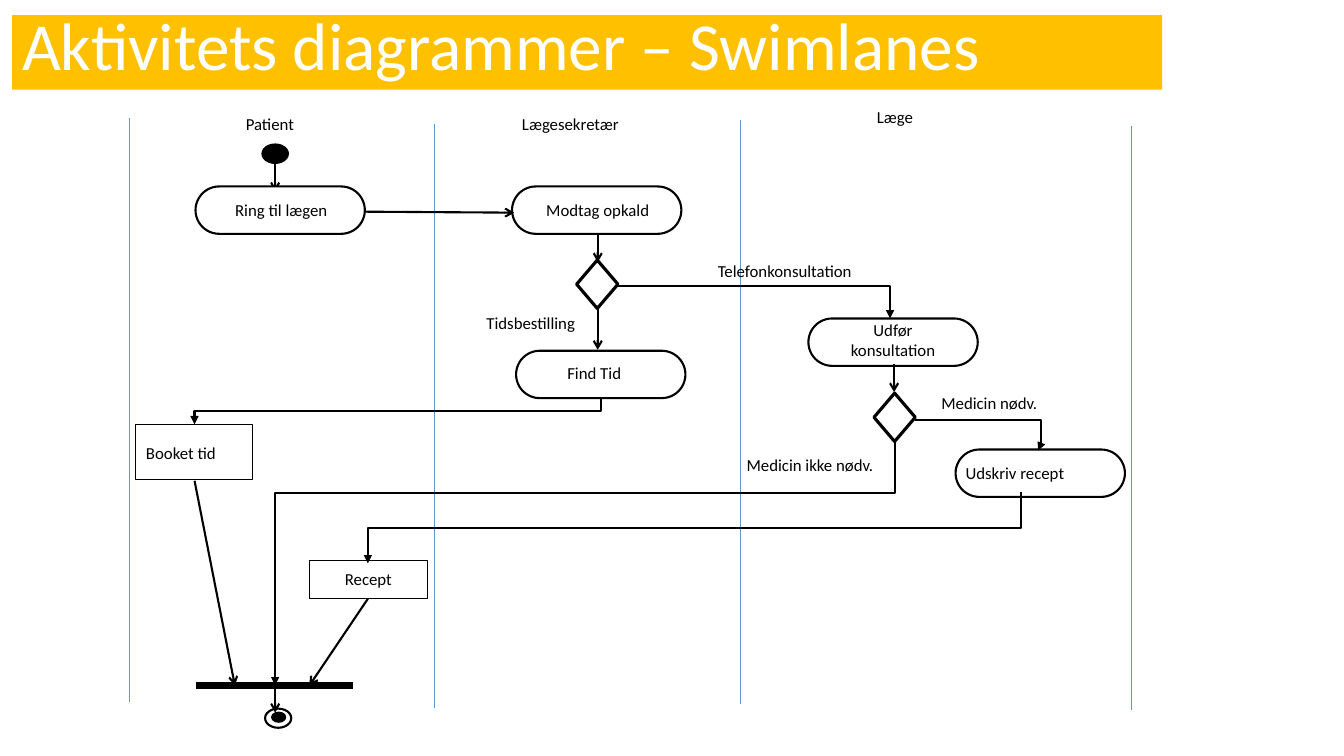
import dataclasses

import pptx
import pptx.dml.color
import pptx.enum.shapes
import pptx.enum.text
import pptx.oxml
import pptx.oxml.ns
import pptx.util

Pt = pptx.util.Pt
RGB = pptx.dml.color.RGBColor.from_string
Shape = pptx.enum.shapes.MSO_SHAPE
Connector = pptx.enum.shapes.MSO_CONNECTOR
Align = pptx.enum.text.PP_ALIGN
Anchor = pptx.enum.text.MSO_ANCHOR

COLUMNS, ROWS = 133.33, 75
NODE = (16.8, 4.7)
DIAMOND = (4.1, 4.8)
OBJECT_WIDTH = 11.7
LABEL_HEIGHT = 3.4
LANE_HEIGHT = 57.9


@dataclasses.dataclass(frozen=True)
class Theme:
    ink: str = "000000"
    paper: str = "FFFFFF"
    banner: str = "FFC000"
    lane: str = "5B9BD5"
    font: str = "Calibri"
    title_size: int = 48
    label_size: int = 12
    hairline: float = 0.5
    thin: float = 0.75
    dot: float = 1
    flow: float = 1.5
    decision: float = 2.25
    bar: float = 4.5


def apply(target, formats):
    for name, value in formats.items():
        setattr(target, name, value)


def drawing_xml(tag, attributes=""):
    namespace = pptx.oxml.ns.nsdecls("a")
    return pptx.oxml.parse_xml(f"<a:{tag} {namespace} {attributes}/>")


class Diagram:
    """Draws on one slide, in cells of a COLUMNS by ROWS grid."""

    def __init__(self, presentation, theme):
        self.theme = theme
        self.slide = presentation.slides.add_slide(presentation.slide_layouts[6])
        self.column = presentation.slide_width / COLUMNS
        self.row = presentation.slide_height / ROWS

    def emu(self, *cells):
        """Turns alternating column and row counts into lengths."""
        return [round(cell * (self.row if i % 2 else self.column))
                for i, cell in enumerate(cells)]

    def set_text(self, frame, text, size, color, align, spacing=1.0):
        frame.text = text
        for paragraph in frame.paragraphs:
            apply(paragraph, {"alignment": align, "line_spacing": spacing})
            apply(paragraph.font, {"name": self.theme.font, "size": Pt(size)})
            paragraph.font.color.rgb = RGB(color)

    def shape(self, kind, box, fill=None, weight=None):
        outline = self.slide.shapes.add_shape(kind, *self.emu(*box))
        outline.shadow.inherit = False
        if fill:
            outline.fill.solid()
            outline.fill.fore_color.rgb = RGB(fill)
        else:
            outline.fill.background()
        if weight:
            outline.line.color.rgb = RGB(self.theme.ink)
            outline.line.width = Pt(weight)
        else:
            outline.line.fill.background()
        return outline

    def title(self, text, box):
        banner = self.shape(Shape.RECTANGLE, box, self.theme.banner)
        apply(banner.text_frame, {"word_wrap": True, "vertical_anchor": Anchor.BOTTOM})
        self.set_text(banner.text_frame, text, self.theme.title_size,
                      self.theme.paper, Align.LEFT, 0.9)

    def label(self, text, left, top, width, align=Align.CENTER):
        caption = self.slide.shapes.add_textbox(
            *self.emu(left, top, width, LABEL_HEIGHT))
        apply(caption.text_frame, {"word_wrap": True, "vertical_anchor": Anchor.TOP})
        self.set_text(caption.text_frame, text, self.theme.label_size,
                      self.theme.ink, align)

    def activity(self, left, top):
        pill = self.shape(Shape.ROUNDED_RECTANGLE, (left, top, *NODE),
                          self.theme.paper, self.theme.flow)
        pill.adjustments[0] = 0.5

    def decision(self, left, top):
        self.shape(Shape.DIAMOND, (left, top, *DIAMOND), weight=self.theme.decision)

    def line(self, start, end, weight, color=None, head=None, kind=Connector.STRAIGHT):
        link = self.slide.shapes.add_connector(kind, *self.emu(*start, *end))
        link.line.color.rgb = RGB(color or self.theme.ink)
        link.line.width = Pt(weight)
        properties = link.element.spPr
        if head:
            properties.get_or_add_ln().append(
                drawing_xml("tailEnd", f'type="{head}"'))
        properties.append(drawing_xml("effectLst"))
        return link

    def arrow(self, start, end):
        self.line(start, end, self.theme.flow, head="arrow")

    def elbow(self, start, end, bend, turned=False):
        """Bends at a share of the way; turned leaves downwards, to the left."""
        if turned:
            (x1, y1), (x2, y2) = start, end
            middle_x, middle_y = (x1 + x2) / 2, (y1 + y2) / 2
            half_width, half_height = (y2 - y1) / 2, (x1 - x2) / 2
            start = middle_x - half_width, middle_y - half_height
            end = middle_x + half_width, middle_y + half_height
        link = self.line(start, end, self.theme.flow, head="triangle",
                         kind=Connector.ELBOW)
        properties = link.element.spPr
        if turned:
            properties.xfrm.set("rot", str(90 * 60000))
        guides = properties.find(".//" + pptx.oxml.ns.qn("a:avLst"))
        guides.append(drawing_xml(
            "gd", f'name="adj1" fmla="val {round(bend * 100000)}"'))


def main():
    presentation = pptx.Presentation()
    apply(presentation, {"slide_width": pptx.util.Inches(13.33),
                         "slide_height": pptx.util.Inches(7.5)})
    theme = Theme()
    diagram = Diagram(presentation, theme)
    diagram.title("Aktivitets diagrammer – Swimlanes", (1.2, 1.5, 114.1, 7.4))

    diagram.shape(Shape.OVAL, (26, 14.3, 2.6, 1.9), theme.ink, theme.dot)
    diagram.arrow((27.3, 16.2), (27.3, 19))
    for corner in ((19.4, 18.5), (50.8, 18.5), (51.2, 34.8),
                   (80.2, 31.6), (94.8, 44.6)):
        diagram.activity(*corner)
    for corner in ((57.2, 25.8), (86.7, 39)):
        diagram.decision(*corner)
    for left, top, height in ((13.4, 42.1, 5.5), (30.7, 55.6, 3.8)):
        diagram.shape(Shape.RECTANGLE, (left, top, OBJECT_WIDTH, height),
                      weight=theme.thin)
    diagram.shape(Shape.OVAL, (26.3, 70.3, 2.6, 1.9), theme.paper, theme.flow)
    diagram.shape(Shape.OVAL, (27, 70.7, 1.3, 0.9), theme.ink, theme.flow)
    diagram.line((19.4, 68), (35, 68), theme.bar)

    for left, top in ((12.8, 11.7), (43.1, 12.3), (73.4, 11.9), (112.2, 12.5)):
        diagram.line((left, top), (left, top + LANE_HEIGHT),
                     theme.hairline, theme.lane)

    for start, end in (
        ((36.2, 21), (51, 21.1)),
        ((59.3, 23.2), (59.3, 26)),
        ((59.3, 30.5), (59.3, 34.7)),
        ((88.7, 36.1), (88.7, 38.9)),
        ((19.3, 47.7), (23.3, 68)),
        ((36.5, 59.4), (30.7, 68)),
        ((27.3, 68), (27.3, 70.7)),
    ):
        diagram.arrow(start, end)
    for start, end, bend, turned in (
        ((61.1, 28.4), (88.3, 31.6), 1, False),
        ((90.8, 41.7), (103, 44.7), 1.02, False),
        ((59.6, 39.5), (19.3, 42.1), 0.5, True),
        ((101.3, 48.8), (36.5, 55.9), 0.5, True),
        ((88.8, 43.8), (27.3, 68), 0.21, True),
    ):
        diagram.elbow(start, end, bend, turned)

    for text, left, top, width in (
        ("Ring til lægen", 19.6, 19.3, 16.6),
        ("Modtag opkald", 51, 19.3, 16.6),
        ("Telefonkonsultation", 67.1, 25.4, 21.5),
        ("Tidsbestilling", 45.8, 30.5, 13.7),
        ("Udfør\nkonsultation", 80.2, 31.2, 16.8),
        ("Find Tid", 52.1, 35.5, 13.7),
        ("Medicin nødv.", 90.4, 38.5, 15.5),
        ("Medicin ikke nødv.", 70.9, 44.6, 18.9),
        ("Recept", 30.7, 55.9, OBJECT_WIDTH),
    ):
        diagram.label(text, left, top, width)
    for text, left, top, width in (
        ("Patient", 23.4, 10.8, 10.4),
        ("Lægesekretær", 50.8, 10.8, 17.4),
        ("Læge", 86, 10.1, 10),
        ("Booket tid", 13.5, 43.4, 13.1),
        ("Udskriv recept", 94.8, 45.4, 13.1),
    ):
        diagram.label(text, left, top, width, Align.LEFT)

    presentation.save("out.pptx")


if __name__ == "__main__":
    main()
